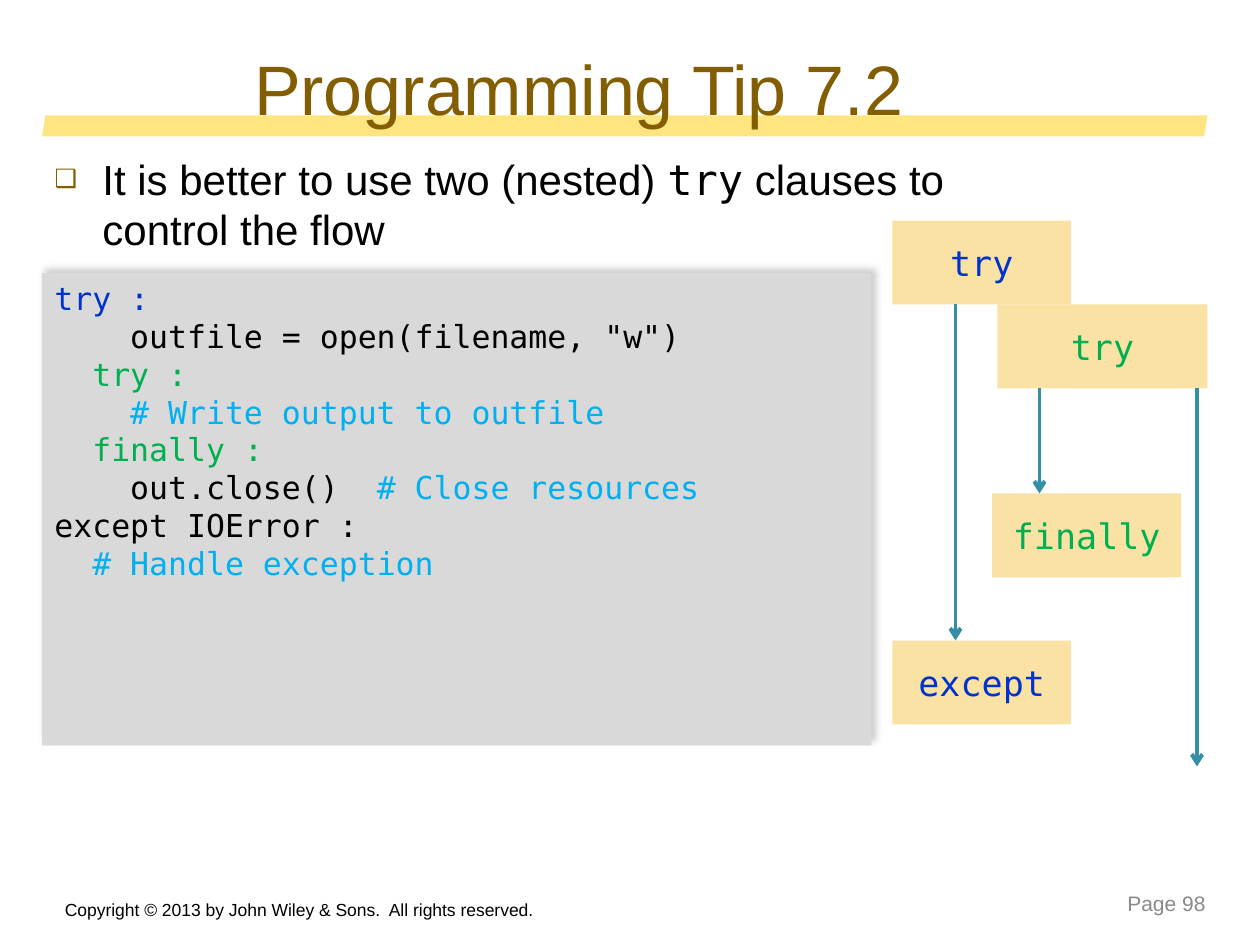
"""Build the Programming Tip 7.2 slide on a grid of 120 columns by 90 rows."""
import dataclasses
import typing

import lxml.etree
import pptx
import pptx.dml.color
import pptx.enum.shapes
import pptx.enum.text
import pptx.oxml.ns
import pptx.util

SANS, MONO = "Arial", "DejaVu Sans Mono"
BLACK, BLUE, GREEN, SKY = "000000", "0033CC", "00B050", "00B0F0"
BROWN, GOLD, SAND, TEAL, GRAY = "835E01", "FFCC00", "FAE1A4", "348FA6", "898989"
SHAPE = pptx.enum.shapes.MSO_SHAPE
ALIGN = pptx.enum.text.PP_ALIGN
ANCHOR = pptx.enum.text.MSO_ANCHOR
NONE = pptx.enum.text.MSO_AUTO_SIZE.NONE
HANG = pptx.util.Inches(0.38)


class Area(typing.NamedTuple):
    """A rectangle in grid units."""
    col: float
    row: float
    cols: float
    rows: float


class Run(typing.NamedTuple):
    """A stretch of text in one colour and font."""
    text: str
    color: str = BLACK
    face: str = MONO


@dataclasses.dataclass
class Block:
    """A labelled box of the flow chart."""
    area: Area
    label: str
    color: str


@dataclasses.dataclass
class Arrow:
    """A downward arrow of the flow chart."""
    col: float
    top: float
    end: float


BLOCKS = [
    Block(Area(95, 29, 20, 8), "try", GREEN),
    Block(Area(85, 61, 17, 8), "except", BLUE),
    Block(Area(94.5, 47, 18, 8), "finally", GREEN),
    Block(Area(85, 21, 17, 8), "try", BLUE),
]
ARROWS = [Arrow(99, 37, 47), Arrow(91, 29, 61), Arrow(114, 37, 73)]
CODE = [
    [Run("try :", BLUE)],
    [Run('    outfile = open(filename, "w")')],
    [Run("  "), Run("try :", GREEN)],
    [Run("    # Write output to outfile", SKY)],
    [Run("  "), Run("finally :", GREEN)],
    [Run("    out.close()  "), Run("# Close resources", SKY)],
    [Run("except IOError :")],
    [Run("  "), Run("# Handle exception", SKY)],
]
POINT = [
    Run("It is better to use two (nested) ", face=SANS),
    Run("try"),
    Run(" clauses to control the flow", face=SANS),
]

deck = pptx.Presentation()
deck.slide_width = pptx.util.Inches(10)
deck.slide_height = pptx.util.Inches(7.5)
slide = deck.slides.add_slide(deck.slide_layouts[1])


def across(cols: float) -> int:
    """Turn columns into a length."""
    return round(deck.slide_width * cols / 120)


def down(rows: float) -> int:
    """Turn rows into a length."""
    return round(deck.slide_height * rows / 90)


def box(area: Area) -> tuple:
    """Give the left, top, width and height of an area."""
    return across(area.col), down(area.row), across(area.cols), down(area.rows)


def tint(target, color: str) -> None:
    """Set a colour format from a hex string."""
    target.rgb = pptx.dml.color.RGBColor.from_string(color)


def child(parent, tag: str, **attrs: str):
    """Append a drawing element."""
    return lxml.etree.SubElement(parent, pptx.oxml.ns.qn("a:" + tag), attrs)


def write(shape, lines: list, size: float, align=ALIGN.LEFT,
          anchor=ANCHOR.TOP, hang: bool = False) -> None:
    """Fill a shape with lines of runs."""
    frame = shape.text_frame
    frame.word_wrap = True
    frame.auto_size = NONE
    frame.vertical_anchor = anchor
    for num, line in enumerate(lines):
        para = frame.add_paragraph() if num else frame.paragraphs[0]
        para.alignment = align
        para.space_before = pptx.util.Pt(0)
        if hang:
            props = para._p.get_or_add_pPr()
            props.set("marL", str(HANG))
            props.set("indent", str(-HANG))
        for part in line:
            run = para.add_run()
            run.text = part.text
            run.font.name = part.face
            run.font.size = pptx.util.Pt(size)
            tint(run.font.color, part.color)


def panel(area: Area, color: str, kind=SHAPE.RECTANGLE):
    """Add a plain filled shape."""
    shape = slide.shapes.add_shape(kind, *box(area))
    shape.shadow.inherit = False
    shape.fill.solid()
    tint(shape.fill.fore_color, color)
    shape.line.fill.background()
    return shape


def place(shape, area: Area) -> None:
    """Move a placeholder to an area."""
    shape.left, shape.top, shape.width, shape.height = box(area)


def draw_arrow(arrow: Arrow) -> None:
    """Add a downward arrow."""
    line = slide.shapes.add_connector(
        pptx.enum.shapes.MSO_CONNECTOR.STRAIGHT,
        across(arrow.col), down(arrow.top), across(arrow.col), down(arrow.end))
    tint(line.line.color, TEAL)
    line.line.width = pptx.util.Pt(2.25)
    child(line.line._get_or_add_ln(), "tailEnd", type="arrow")
    child(line._element.spPr, "effectLst")


def draw_band() -> None:
    """Add the clear gold band behind the title."""
    band = panel(Area(4, 11, 111, 2), GOLD, SHAPE.PARALLELOGRAM)
    band.adjustments[0] = 0.16
    child(band.fill._xPr.find(".//" + pptx.oxml.ns.qn("a:srgbClr")), "alpha", val="50000")
    slide.shapes._spTree.insert(2, band._element)


def draw_point() -> None:
    """Fill the body with its one bulleted point."""
    body = slide.placeholders[1]
    place(body, Area(4, 14, 90, 67))
    write(body, [POINT], 24, hang=True)
    props = body.text_frame.paragraphs[0]._p.get_or_add_pPr()
    child(child(props, "buClr"), "srgbClr", val=BROWN)
    child(props, "buSzPct", val="60000")
    child(props, "buChar", char="❑")


def draw_code() -> None:
    """Add the code panel with its soft shadow."""
    shape = panel(Area(4, 26, 79, 45), "D9D9D9")
    write(shape, CODE, 18, hang=True)
    effect = shape._element.spPr.find(pptx.oxml.ns.qn("a:effectLst"))
    shade = child(effect, "outerShdw", blurRad=str(pptx.util.Pt(4)),
                  dist=str(pptx.util.Pt(3)), dir=str(315 * 60000), algn="bl", rotWithShape="0")
    child(child(shade, "srgbClr", val="808080"), "alpha", val="40000")


def main() -> None:
    """Draw the slide and save it."""
    draw_band()
    title = slide.shapes.title
    place(title, Area(23, 3.6, 93, 9.4))
    write(title, [[Run("Programming Tip 7.2", BROWN, SANS)]], 40, anchor=ANCHOR.MIDDLE)
    draw_point()
    for block in BLOCKS:
        write(panel(block.area, SAND), [[Run(block.label, block.color)]], 20,
              ALIGN.CENTER, ANCHOR.MIDDLE)
    for arrow in ARROWS:
        draw_arrow(arrow)
    draw_code()
    note = slide.shapes.add_textbox(*box(Area(5, 85, 53, 3.3)))
    write(note, [[Run("Copyright © 2013 by John Wiley & Sons.  All rights reserved.",
                      face=SANS)]], 10)
    page = slide.shapes.add_textbox(*box(Area(95, 84, 21, 4)))
    write(page, [[Run("Page 98", GRAY, SANS)]], 12, ALIGN.RIGHT, ANCHOR.MIDDLE)
    deck.save("out.pptx")


if __name__ == "__main__":
    main()
